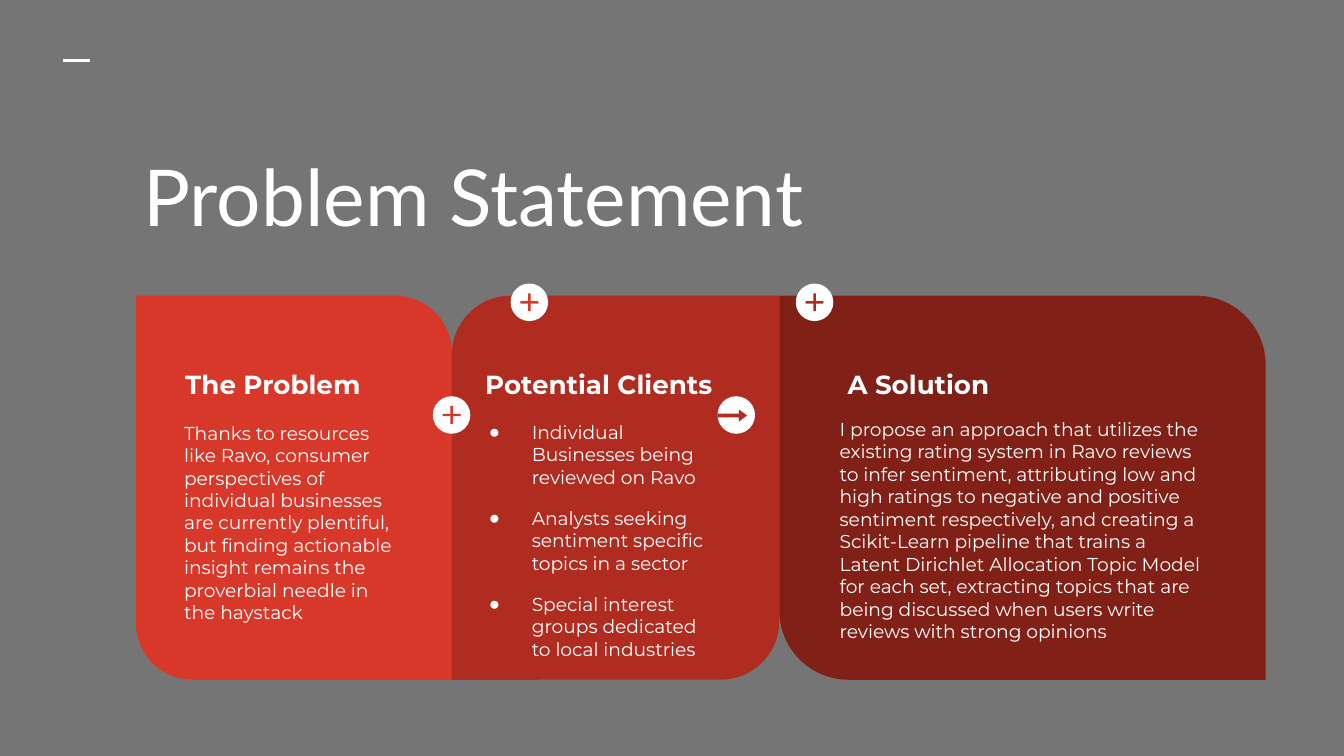
"""Build the Problem Statement slide with three coloured panels."""
import pptx
import pptx.dml.color
import pptx.enum.shapes
import pptx.enum.text
import pptx.oxml
import pptx.oxml.ns
import pptx.util
from pptx.util import Cm

RGBColor = pptx.dml.color.RGBColor
Shape = pptx.enum.shapes.MSO_SHAPE

GREY = RGBColor(0x75, 0x75, 0x75)
WHITE = RGBColor(0xFF, 0xFF, 0xFF)
LIGHT_RED = RGBColor(0xD8, 0x38, 0x29)
RED = RGBColor(0xB0, 0x2C, 0x20)
DARK_RED = RGBColor(0x80, 0x20, 0x17)

PANEL_TOP, PANEL_HEIGHT, PANEL_CORNER = 5.59, 7.26, 0.18
HEADING_TOP, HEADING_HEIGHT = 6.72, 2.13
BADGE_SIZE, PLUS_SIZE = 0.71, 0.46


class SlideBuilder:
    title_font = "Lato"
    body_font = "Montserrat"
    title_size, heading_size, body_size = 42, 14, 10

    def __init__(self, presentation):
        self.slide = presentation.slides.add_slide(presentation.slide_layouts[1])
        self.slide.background.fill.solid()
        self.slide.background.fill.fore_color.rgb = GREY

    def place(self, shape, left, top, width, height):
        shape.left, shape.top = Cm(left), Cm(top)
        shape.width, shape.height = Cm(width), Cm(height)

    def format_frame(self, frame):
        frame.word_wrap = True
        frame.auto_size = pptx.enum.text.MSO_AUTO_SIZE.NONE
        frame.vertical_anchor = pptx.enum.text.MSO_ANCHOR.TOP
        frame.margin_left = frame.margin_right = Cm(0.25)
        frame.margin_top = frame.margin_bottom = Cm(0.25)

    def add_run(self, paragraph, text, font_name, size, bold=False):
        paragraph.alignment = pptx.enum.text.PP_ALIGN.LEFT
        run = paragraph.add_run()
        run.text = text
        run.font.name = font_name
        run.font.size = pptx.util.Pt(size)
        run.font.bold = bold
        run.font.color.rgb = WHITE

    def title(self, text, *box):
        shape = self.slide.shapes.title
        self.place(shape, *box)
        self.format_frame(shape.text_frame)
        self.add_run(shape.text_frame.paragraphs[0], text, self.title_font, self.title_size)

    def text(self, text, box, size, bold=False):
        frame = self.slide.shapes.add_textbox(*(Cm(length) for length in box)).text_frame
        self.format_frame(frame)
        self.add_run(frame.paragraphs[0], text, self.body_font, size, bold)

    def bullets(self, items, *box):
        shape = self.slide.placeholders[1]
        self.slide.shapes._spTree.append(shape._element)
        self.place(shape, *box)
        frame = shape.text_frame
        self.format_frame(frame)
        for index, item in enumerate(items):
            paragraph = frame.add_paragraph() if index else frame.paragraphs[0]
            paragraph.space_before = pptx.util.Pt(10 if index else 0)
            properties = paragraph._p.get_or_add_pPr()
            properties.set("marL", str(Cm(1.27)))
            properties.set("indent", str(Cm(-0.81)))
            namespace = pptx.oxml.ns.nsdecls("a")
            properties.append(pptx.oxml.parse_xml(
                f'<a:buClr {namespace}><a:srgbClr val="{WHITE}"/></a:buClr>'))
            properties.append(pptx.oxml.parse_xml(f'<a:buChar {namespace} char="●"/>'))
            self.add_run(paragraph, item, self.body_font, self.body_size)

    def shape(self, kind, color, box, adjustments=()):
        shape = self.slide.shapes.add_shape(kind, *(Cm(length) for length in box))
        shape.shadow.inherit = False
        shape.fill.solid()
        shape.fill.fore_color.rgb = color
        shape.line.fill.background()
        for index, value in enumerate(adjustments):
            shape.adjustments[index] = value

    def panel(self, left, width, color, corners):
        self.shape(Shape.ROUND_2_DIAG_RECTANGLE, color,
                   (left, PANEL_TOP, width, PANEL_HEIGHT), corners)

    def heading(self, text, left, width):
        self.text(text, (left, HEADING_TOP, width, HEADING_HEIGHT), self.heading_size, True)

    def badge(self, left, top):
        self.shape(Shape.OVAL, WHITE, (left, top, BADGE_SIZE, BADGE_SIZE))

    def plus_badge(self, left, top, color):
        self.badge(left, top)
        inset = (BADGE_SIZE - PLUS_SIZE) / 2
        self.shape(Shape.MATH_PLUS, color,
                   (left + inset, top + inset, PLUS_SIZE, PLUS_SIZE), (0.1,))

    def arrow_badge(self, left, top, color):
        self.badge(left, top)
        self.shape(Shape.RIGHT_ARROW, color, (left, top + 0.25, 0.56, 0.23), (0.32, 0.67))

    def line(self, left, right, y):
        connector = self.slide.shapes.add_connector(
            pptx.enum.shapes.MSO_CONNECTOR.STRAIGHT, Cm(left), Cm(y), Cm(right), Cm(y))
        connector.line.color.rgb = WHITE
        connector.line.width = pptx.util.Pt(1.5)
        connector._element.spPr.append(pptx.oxml.parse_xml(
            f'<a:effectLst {pptx.oxml.ns.nsdecls("a")}/>'))


def main():
    presentation = pptx.Presentation()
    presentation.slide_width, presentation.slide_height = Cm(25.4), Cm(14.29)
    builder = SlideBuilder(presentation)
    builder.line(1.19, 1.7, 1.14)
    builder.title("Problem Statement", 2.46, 2.54, 14.76, 2.49)

    rising, falling = (0, PANEL_CORNER), (PANEL_CORNER, 0)
    left = 2.57
    for width, color, corners in ((5.97, LIGHT_RED, rising), (6.19, RED, falling),
                                  (9.19, DARK_RED, rising)):
        builder.panel(left, width, color, corners)
        left += width

    builder.heading("The Problem", 3.25, 4.47)
    builder.text(
        "Thanks to resources like Ravo, consumer perspectives of individual businesses "
        "are currently plentiful, but finding actionable insight remains the "
        "proverbial needle in the haystack",
        (3.23, 7.72, 4.62, 4.5), builder.body_size)

    builder.heading("Potential Clients", 8.92, 4.93)
    builder.bullets(
        ("Individual Businesses being reviewed on Ravo",
         "Analysts seeking sentiment specific topics in a sector",
         "Special interest groups dedicated to local industries"),
        8.53, 7.7, 5.16, 4.88)

    builder.heading("A Solution", 15.77, 7.42)
    builder.text(
        "I propose an approach that utilizes the existing rating system in Ravo reviews "
        "to infer sentiment, attributing low and high ratings to negative and positive "
        "sentiment respectively, and creating a Scikit-Learn pipeline that trains a "
        "Latent Dirichlet Allocation Topic Model for each set, extracting topics that "
        "are being discussed when users write reviews with strong opinions",
        (15.62, 7.65, 7.42, 4.88), builder.body_size)

    builder.arrow_badge(13.56, 7.49, RED)
    for left, top, color in ((8.18, 7.49, LIGHT_RED), (9.65, 5.36, LIGHT_RED),
                             (15.04, 5.36, RED)):
        builder.plus_badge(left, top, color)
    presentation.save("out.pptx")


if __name__ == "__main__":
    main()
